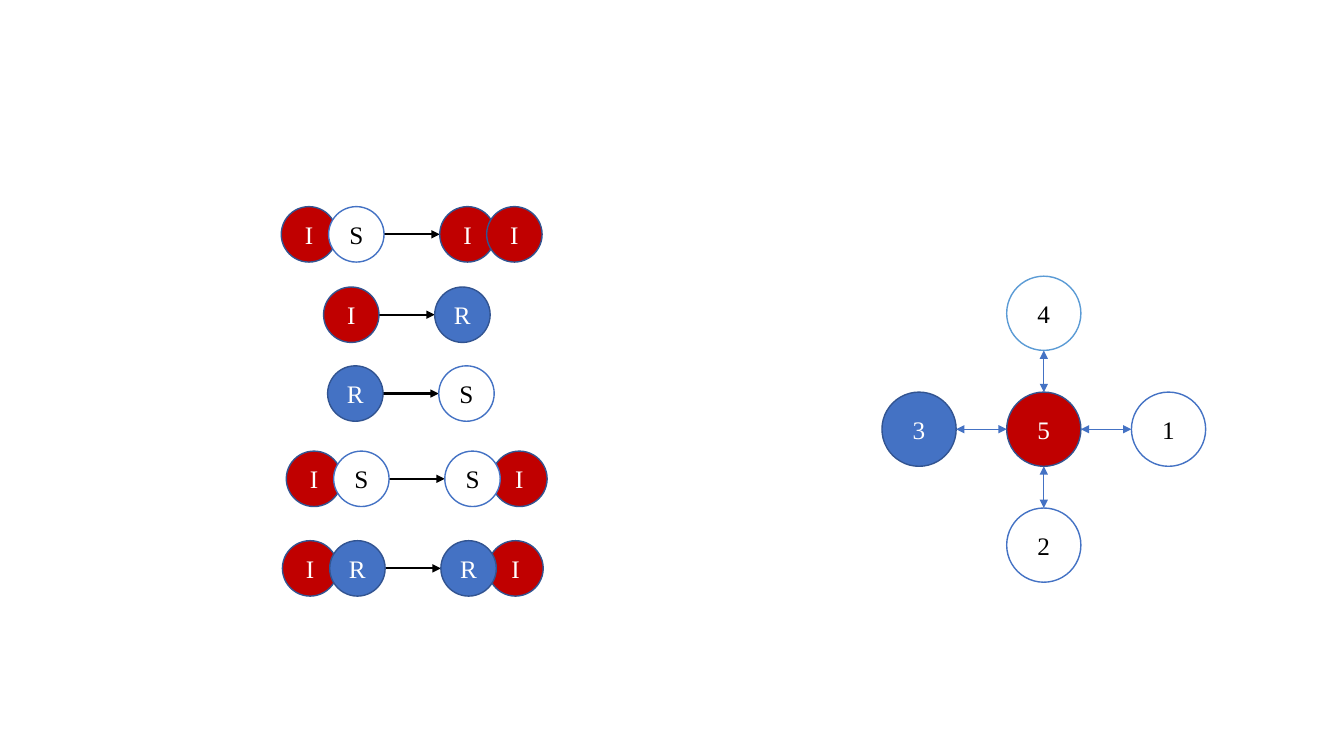
"""Build a slide with five state-change rules and a five-node neighbourhood."""
from dataclasses import dataclass

from lxml.etree import SubElement
from pptx import Presentation
from pptx.dml.color import RGBColor
from pptx.enum.shapes import MSO_CONNECTOR as Line, MSO_SHAPE as Shape
from pptx.enum.text import MSO_ANCHOR as Anchor, PP_ALIGN as Align
from pptx.oxml.ns import qn
from pptx.util import Pt


@dataclass(frozen=True)
class Theme:
    """Colours, font and type size of the slide."""
    red: str = "C00000"
    blue: str = "4472C4"
    navy: str = "325491"
    sky: str = "5B9BD5"
    white: str = "FFFFFF"
    black: str = "000000"
    font: str = "Times New Roman"
    size: float = 18


THEME = Theme()
INFECTED = (THEME.red, THEME.navy, THEME.white)
RECOVERED = (THEME.blue, THEME.navy, THEME.white)
SUSCEPTIBLE = (THEME.white, THEME.blue, THEME.black)
STATES = {"I": INFECTED, "R": RECOVERED, "S": SUSCEPTIBLE}

DISC = 39.6
COLUMNS = (-33.8, 0, 79.4, 112.9)
RULES = [
    (234.7, 147.6, (("I", 0), ("S", 1), ("I", 2), ("I", 3))),
    (231.1, 205, (("I", 1), ("R", 2))),
    (234, 261.3, (("R", 1), ("S", 2))),
    (238.3, 322.2, (("I", 0), ("S", 1), ("I", 3), ("S", 2))),
    (235.5, 386.2, (("I", 0), ("I", 3), ("R", 1), ("R", 2))),
]

NODE = 53
CENTRE = (745.6, 306.6)
STEP = (89.1, 82.8)
NEIGHBOURS = [
    ("3", -1, 0, RECOVERED),
    ("2", 0, 1, SUSCEPTIBLE),
    ("1", 1, 0, SUSCEPTIBLE),
    ("4", 0, -1, (THEME.white, THEME.sky, THEME.black)),
]


def add_disc(group, label, left, top, size, state):
    """Draw a labelled circle in the colours of its state."""
    fill, outline, ink = (RGBColor.from_string(colour) for colour in state)
    disc = group.shapes.add_shape(Shape.OVAL, Pt(left), Pt(top), Pt(size), Pt(size))
    disc.shadow.inherit = False
    disc.fill.solid()
    disc.fill.fore_color.rgb = fill
    disc.line.color.rgb = outline
    disc.line.width = Pt(1)
    frame = disc.text_frame
    frame.margin_left = frame.margin_right = frame.margin_top = frame.margin_bottom = 0
    frame.vertical_anchor = Anchor.MIDDLE
    para = frame.paragraphs[0]
    para.text = label
    para.alignment = Align.CENTER
    para.font.name = THEME.font
    para.font.size = Pt(THEME.size)
    para.font.color.rgb = ink


def add_arrow(group, start, end, colour, width, ends):
    """Draw a straight line with a triangle at each of the named ends."""
    arrow = group.shapes.add_connector(Line.STRAIGHT, *map(Pt, start + end))
    arrow.line.color.rgb = RGBColor.from_string(colour)
    arrow.line.width = Pt(width)
    properties = arrow._element.spPr
    for tag in ends:
        SubElement(properties.find(qn("a:ln")), qn(tag), type="triangle")
    SubElement(properties, qn("a:effectLst"))


def add_rule(group, left, top, discs):
    """Draw one rule: discs before and after, and the arrow between them."""
    middle = top + DISC / 2
    add_arrow(group, (left + DISC, middle), (left + COLUMNS[2], middle),
              THEME.black, 1.5, ["a:tailEnd"])
    for letter, column in discs:
        add_disc(group, letter, left + COLUMNS[column], top, DISC, STATES[letter])


def add_node(group, label, x, y, state):
    """Draw a network node around its centre."""
    add_disc(group, label, x - NODE / 2, y - NODE / 2, NODE, state)


def add_network(group):
    """Draw the central node, its neighbours and the links between them."""
    x, y = CENTRE
    add_node(group, "5", x, y, INFECTED)
    for label, across, down, state in NEIGHBOURS:
        far_x, far_y = x + across * STEP[0], y + down * STEP[1]
        gap_x, gap_y = across * NODE / 2, down * NODE / 2
        add_node(group, label, far_x, far_y, state)
        add_arrow(group, (x + gap_x, y + gap_y), (far_x - gap_x, far_y - gap_y),
                  THEME.blue, 0.5, ["a:headEnd", "a:tailEnd"])


def main():
    """Build the deck and save it."""
    deck = Presentation()
    deck.slide_width, deck.slide_height = Pt(960), Pt(540)
    page = deck.slides.add_slide(deck.slide_layouts[6])
    rules = page.shapes.add_group_shape()
    for left, top, discs in RULES:
        add_rule(rules, left, top, discs)
    add_network(page.shapes.add_group_shape())
    deck.save("out.pptx")


if __name__ == "__main__":
    main()
